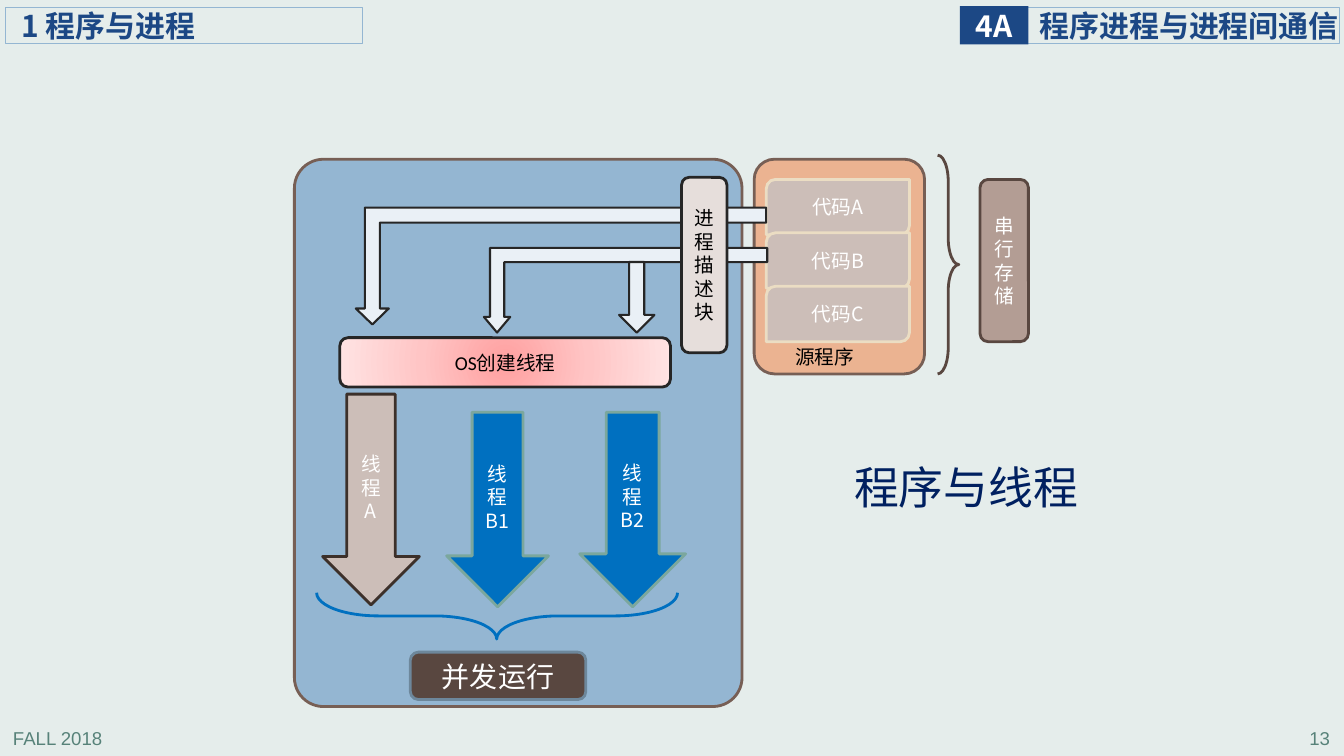
import pptx
import pptx.dml.color
import pptx.enum.shapes
import pptx.enum.text
import pptx.oxml
import pptx.oxml.ns
import pptx.util
from pptx.util import Inches

SHAPE = pptx.enum.shapes.MSO_SHAPE
ALIGN = pptx.enum.text.PP_ALIGN
ANCHOR = pptx.enum.text.MSO_ANCHOR

CJK = "Noto Sans CJK SC"
NAVY = "1C4885"
SKY = "94B6D2"
BROWN = "775F55"
DARK_BROWN = "594740"
TAUPE = "CCBEB8"
BLUE = "0070C0"
BLACK = "262626"
ICE = "EAF0F6"


def rgb(value):
    return pptx.dml.color.RGBColor.from_string(value)


def write(shape, text, size=14, color="FFFFFF", font=CJK, bold=False, align=ALIGN.CENTER,
          anchor=ANCHOR.MIDDLE, insets=(0.1, 0.05, 0.1, 0.05), wrap=True, spacing=None):
    """Fill a shape with text, one paragraph for each line."""
    frame = shape.text_frame
    frame.word_wrap = wrap
    frame.vertical_anchor = anchor
    (frame.margin_left, frame.margin_top,
     frame.margin_right, frame.margin_bottom) = map(Inches, insets)
    for index, line in enumerate(text.split("\n")):
        paragraph = frame.add_paragraph() if index else frame.paragraphs[0]
        paragraph.alignment = align
        if spacing:
            paragraph.line_spacing = spacing
        run = paragraph.add_run()
        run.text = line
        run.font.size = pptx.util.Pt(size)
        run.font.bold = bold
        run.font.name = font
        run.font.color.rgb = rgb(color)
        east_asian = pptx.oxml.parse_xml(
            f'<a:ea {pptx.oxml.ns.nsdecls("a")} typeface="{CJK}"/>')
        run.font._element.find(pptx.oxml.ns.qn("a:latin")).addnext(east_asian)


def add_label(slide, box, text, **text_format):
    label = slide.shapes.add_textbox(*map(Inches, box))
    write(label, text, **text_format)


def add_block(slide, kind, box, fill=None, line=None, width=2, adjust=(), flip="",
              rotation=0, text="", **text_format):
    """Draw a preset shape; flip holds the letters H and/or V."""
    block = slide.shapes.add_shape(kind, *map(Inches, box))
    block.shadow.inherit = False
    block.rotation = rotation
    if fill:
        block.fill.solid()
        block.fill.fore_color.rgb = rgb(fill)
    else:
        block.fill.background()
    if line:
        block.line.color.rgb = rgb(line)
        block.line.width = pptx.util.Pt(width)
    else:
        block.line.fill.background()
    for index, value in enumerate(adjust):
        block.adjustments[index] = value
    for axis in flip:
        block._element.spPr.xfrm.set(f"flip{axis}", "1")
    if text:
        write(block, text, **text_format)
    return block


def glow_from_centre(block, stops):
    """Replace a solid fill with a circular gradient of (percent, colour) stops."""
    stop_xml = "".join(f'<a:gs pos="{percent * 1000}"><a:srgbClr val="{color}"/></a:gs>'
                       for percent, color in stops)
    gradient = pptx.oxml.parse_xml(
        f'<a:gradFill {pptx.oxml.ns.nsdecls("a")} rotWithShape="1"><a:gsLst>{stop_xml}</a:gsLst>'
        '<a:path path="circle"><a:fillToRect l="50000" t="50000" r="50000" b="50000"/></a:path>'
        '</a:gradFill>')
    properties = block._element.spPr
    properties.replace(properties.find(pptx.oxml.ns.qn("a:solidFill")), gradient)


def add_header_and_footer(slide):
    heading = dict(size=21.4, bold=True)
    add_label(slide, (0.03, 7.16, 2.78, 0.31), "FALL 2018", size=13.3, color="578279",
              font="Arial", align=ALIGN.LEFT, anchor=ANCHOR.TOP)
    add_label(slide, (10.51, 7.16, 2.78, 0.31), "13", size=13.3, color="578279",
              font="Arial", align=ALIGN.RIGHT, anchor=ANCHOR.TOP)
    add_block(slide, SHAPE.RECTANGLE, (10.19, 0.07, 3.1, 0.36), line=SKY, width=0.75,
              text="程序进程与进程间通信", color=NAVY, align=ALIGN.LEFT,
              insets=(0.12, 0, 0, 0), **heading)
    add_block(slide, SHAPE.RECTANGLE, (9.52, 0.06, 0.68, 0.38), fill=NAVY,
              text="4A", insets=(0, 0, 0, 0), wrap=False, **heading)
    add_block(slide, SHAPE.RECTANGLE, (0.05, 0.07, 3.55, 0.36), line=SKY, width=0.75,
              text="1 程序与进程", color=NAVY, align=ALIGN.LEFT,
              insets=(0.16, 0, 0, 0), **heading)


def add_threads(slide):
    threads = [
        ("线程A", (3.2, 3.91, 0.96, 2.09), TAUPE, "3C302A"),
        ("线程\nB1", (4.43, 4.09, 1.01, 1.93), BLUE, "7BA79D"),
        ("线程B2", (5.75, 4.09, 1.05, 1.93), BLUE, "7BA79D"),
    ]
    for name, box, fill, line in threads:
        add_block(slide, SHAPE.DOWN_ARROW, box, fill, line, text=name)


def add_source_program(slide):
    add_block(slide, SHAPE.ROUNDED_RECTANGLE, (7.48, 1.58, 1.69, 2.13), "EBB391", BROWN,
              adjust=[0.119])
    for row, name in enumerate(("代码A", "代码B", "代码C")):
        add_block(slide, SHAPE.ROUND_2_DIAG_RECTANGLE, (7.6, 1.78 + 0.53 * row, 1.42, 0.55),
                  TAUPE, "EBDDC3", text=name)
    add_label(slide, (7.79, 3.37, 0.96, 0.4), "源程序", color="000000", align=ALIGN.LEFT,
              anchor=ANCHOR.TOP, wrap=False)


def add_storage_and_run_modes(slide):
    add_block(slide, SHAPE.LEFT_BRACE, (4.7, 4.32, 0.46, 3.58), line=BLUE,
              adjust=[1.336, 0.499], rotation=270)
    add_block(slide, SHAPE.LEFT_BRACE, (9.3, 1.54, 0.21, 2.17), line=DARK_BROWN,
              adjust=[1.245, 0.5], flip="H")
    add_block(slide, SHAPE.ROUNDED_RECTANGLE, (9.72, 1.78, 0.48, 1.61), "B39D94", DARK_BROWN,
              text="串行存储")
    add_block(slide, SHAPE.FLOWCHART_ALTERNATE_PROCESS, (4.07, 6.47, 1.74, 0.47),
              DARK_BROWN, "6D879B", text="并发运行", size=20)


def add_code_flows(slide):
    add_block(slide, SHAPE.BENT_UP_ARROW, (3.53, 2.06, 4.07, 1.16), ICE, BLACK, 1.5,
              adjust=[0.128, 0.141, 0.137], flip="HV")
    add_block(slide, SHAPE.BENT_UP_ARROW, (4.8, 2.46, 2.81, 0.84), ICE, BLACK, 1.5,
              adjust=[0.168, 0.155, 0.185], flip="HV")
    add_block(slide, SHAPE.DOWN_ARROW, (6.14, 2.6, 0.35, 0.7), ICE, BLACK, 1.5,
              adjust=[0.427, 0.5])


def main():
    deck = pptx.Presentation()
    deck.slide_width = Inches(13.33)
    deck.slide_height = Inches(7.5)
    slide = deck.slides.add_slide(deck.slide_layouts[6])
    slide.background.fill.solid()
    slide.background.fill.fore_color.rgb = rgb("E5EDEB")

    add_header_and_footer(slide)
    add_block(slide, SHAPE.ROUNDED_RECTANGLE, (2.92, 1.58, 4.44, 5.43), SKY, BROWN,
              adjust=[0.065])
    add_label(slide, (8.39, 4.54, 2.65, 0.64), "程序与线程", size=32, color="002060",
              align=ALIGN.LEFT, insets=(0.08, 0.04, 0.08, 0.04), spacing=0.9)
    add_threads(slide)
    add_source_program(slide)
    creator = add_block(slide, SHAPE.ROUNDED_RECTANGLE, (3.37, 3.35, 3.28, 0.49), "FFC5C5",
                        BLACK, text="OS创建线程", color="000000", font="Calibri")
    glow_from_centre(creator, [(0, "FFA0A0"), (50, "FFC5C5"), (100, "FFE3E3")])
    add_storage_and_run_modes(slide)
    add_code_flows(slide)
    add_block(slide, SHAPE.ROUNDED_RECTANGLE, (6.76, 1.76, 0.45, 1.74), "E6DEDB", BLACK,
              text="进程描述块", color="000000")
    deck.save("out.pptx")


if __name__ == "__main__":
    main()
